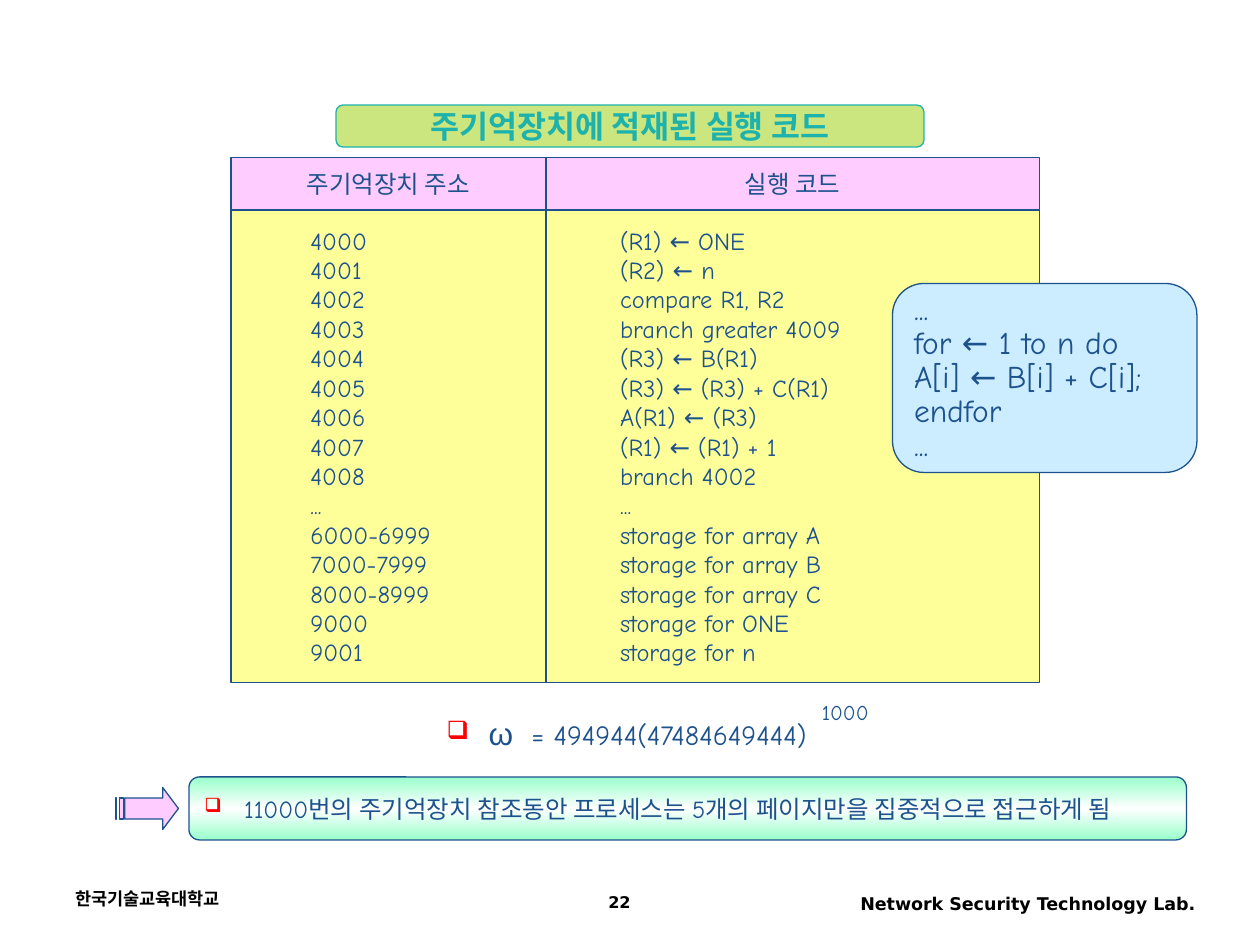
from copy import deepcopy

from lxml import etree
from pptx import Presentation
from pptx import util as u
from pptx.dml.color import RGBColor
from pptx.enum import shapes, text
from pptx.oxml import ns

PX = 9525  # EMU per pixel, 96 pixels to the inch

BLACK = RGBColor(0x00, 0x00, 0x00)
WHITE = RGBColor(0xFF, 0xFF, 0xFF)
NAVY = RGBColor(0x1D, 0x52, 0x8D)
TEAL = RGBColor(0x1D, 0xB3, 0xAC)
LIME = RGBColor(0x99, 0xCC, 0x00)
PINK = RGBColor(0xFF, 0xCC, 0xFF)
YELLOW = RGBColor(0xFF, 0xFF, 0x99)
SKY = RGBColor(0xCC, 0xEC, 0xFF)
MINT = RGBColor(0x99, 0xFF, 0xCC)
RED = RGBColor(0xFF, 0x00, 0x00)

ALIGN = text.PP_ALIGN
ANCHOR = text.MSO_ANCHOR
SHAPE = shapes.MSO_SHAPE
BODY_FONT = "Comic Neue"

MEMORY = [
    ("4000", "(R1) ← ONE"),
    ("4001", "(R2) ← n"),
    ("4002", "compare R1, R2"),
    ("4003", "branch greater 4009"),
    ("4004", "(R3) ← B(R1)"),
    ("4005", "(R3) ← (R3) + C(R1)"),
    ("4006", "A(R1) ← (R3)"),
    ("4007", "(R1) ← (R1) + 1"),
    ("4008", "branch 4002"),
    ("...", "..."),
    ("6000-6999", "storage for array A"),
    ("7000-7999", "storage for array B"),
    ("8000-8999", "storage for array C"),
    ("9000", "storage for ONE"),
    ("9001", "storage for n"),
]
LOOP = ["...", "for ← 1 to n do", "A[i] ← B[i] + C[i];", "endfor", "..."]


def px(*lengths):
    return [length * PX for length in lengths]


def add_bullet(para, indent=24):
    props = para._p.get_or_add_pPr()
    props.set("marL", str(indent * PX))
    props.set("indent", str(-indent * PX))
    color = etree.SubElement(props, ns.qn("a:buClr"))
    etree.SubElement(color, ns.qn("a:srgbClr"), val=str(RED))
    etree.SubElement(props, ns.qn("a:buSzPct"), val="80000")
    etree.SubElement(props, ns.qn("a:buChar"), char="❑")


def write(box, lines, size=14, font=BODY_FONT, color=NAVY, bold=False,
          align=ALIGN.LEFT, anchor=ANCHOR.MIDDLE, spacing=None, bullet=False):
    """Fill a box; a line is a string or a list of (text, font, size) spans."""
    frame = box.text_frame
    frame.word_wrap = True
    frame.vertical_anchor = anchor
    for number, line in enumerate(lines):
        para = frame.add_paragraph() if number else frame.paragraphs[0]
        if bullet:
            add_bullet(para)
        para.alignment = align
        if spacing:
            para.line_spacing = spacing
        spans = [(line, font, size)] if isinstance(line, str) else line
        for words, face, points in spans:
            span = para.add_run()
            span.text = words
            span.font.name = face
            span.font.size = u.Pt(points)
            span.font.bold = bold
            span.font.color.rgb = color


def add_label(page, left, top, width, height, lines, **style):
    box = page.shapes.add_textbox(*px(left, top, width, height))
    write(box, lines, **style)


def paint(shape, fill, line=NAVY):
    shape.shadow.inherit = False
    shape.fill.solid()
    shape.fill.fore_color.rgb = fill
    shape.line.color.rgb = line
    shape.line.width = u.Pt(0.75)


def add_panel(page, kind, left, top, width, height, fill, line=NAVY):
    panel = page.shapes.add_shape(kind, *px(left, top, width, height))
    paint(panel, fill, line)
    return panel


def add_footer(page, left, top):
    style = dict(font="DejaVu Sans", color=BLACK, bold=True, anchor=ANCHOR.TOP)
    add_label(page, left, top, 224, 32, ["한국기술교육대학교"], size=10, **style)
    add_label(page, left + 568, top + 4, 304, 31,
              ["Network Security Technology Lab."], size=10, align=ALIGN.RIGHT, **style)
    add_label(page, left + 312, top + 5, 224, 27, ["22"], size=9.2,
              align=ALIGN.CENTER, spacing=0.9, **style)


def add_title(page, left, top, width, height):
    title = add_panel(page, SHAPE.FLOWCHART_ALTERNATE_PROCESS,
                      left, top, width, height, LIME, TEAL)
    tint = title._element.spPr.find(".//" + ns.qn("a:srgbClr"))
    etree.SubElement(tint, ns.qn("a:alpha"), val="50000")
    write(title, ["주기억장치에 적재된 실행 코드"], size=18, font="Arial Narrow",
          color=TEAL, bold=True, align=ALIGN.CENTER)


def add_memory_map(page, left, top, height, head=40):
    # Heading, column offset and width, text offset and width
    columns = [("주기억장치 주소", 0, 240, 51, 130), ("실행 코드", 240, 376, 47, 200)]
    for (heading, offset, width, inset, text_width), lines in zip(columns, zip(*MEMORY)):
        x = left + offset
        cell = add_panel(page, SHAPE.RECTANGLE, x, top, width, head, PINK)
        write(cell, [heading], align=ALIGN.CENTER)
        add_panel(page, SHAPE.RECTANGLE, x, top + head, width, height - head, YELLOW)
        add_label(page, x + inset, top + head + 7, text_width, height - head - 14, lines)


def add_formula(page, left, top):
    spans = [(" ", BODY_FONT, 18), ("ω ", "Arial", 18),
             (" = 494944(47484649444)", BODY_FONT, 16)]
    add_label(page, left, top, 331, 50, [spans], align=ALIGN.CENTER,
              spacing=1.4, bullet=True)
    add_label(page, left + 296, top, 72, 29, ["1000"], size=12, align=ALIGN.CENTER)


def add_arrow(page, left, top):
    # Arrow body with its head, then the two tail stripes
    outlines = [[(36, 0), (36, 8), (7, 8), (7, 24), (36, 24), (36, 32), (48, 16)]]
    outlines += [[(a, 8), (a, 24), (b, 24), (b, 8)] for a, b in [(3, 6), (0, 1)]]
    builder = page.shapes.build_freeform(*px(*outlines[0][0]))
    for number, (start, *points) in enumerate(outlines):
        if number:
            builder.move_to(*px(*start))
        builder.add_line_segments([px(*point) for point in points], close=True)
    paint(builder.convert_to_shape(*px(left, top)), PINK)


def add_conclusion(page, left, top, width, height):
    strip = add_panel(page, SHAPE.FLOWCHART_ALTERNATE_PROCESS,
                      left, top, width, height, MINT)
    strip.fill.gradient()
    strip.fill.gradient_angle = 90
    for stop, color in zip(strip.fill.gradient_stops, (MINT, WHITE)):
        stop.color.rgb = color
    stops = strip._element.spPr.find(".//" + ns.qn("a:gsLst"))
    stops.append(deepcopy(stops[0]))
    for stop, position in zip(stops, (0, 50000, 100000)):
        stop.set("pos", str(position))
    write(strip, [" 11000번의 주기억장치 참조동안 프로세스는 5개의 페이지만을 집중적으로 접근하게 됨"],
          bullet=True)


def add_loop_callout(page, left, top, width, height):
    callout = add_panel(page, SHAPE.ROUNDED_RECTANGLE, left, top, width, height, SKY)
    write(callout, LOOP, size=18, spacing=0.9)


def main():
    deck = Presentation()
    deck.slide_width, deck.slide_height = px(960, 720)
    page = deck.slides.add_slide(deck.slide_layouts[6])
    add_footer(page, 48, 672)
    add_title(page, 256, 80, 448, 32)
    add_memory_map(page, 176, 120, 400)
    add_formula(page, 312, 528)
    add_conclusion(page, 144, 592, 760, 48)
    add_arrow(page, 88, 600)
    add_loop_callout(page, 680, 216, 232, 144)
    deck.save("out.pptx")


if __name__ == "__main__":
    main()
